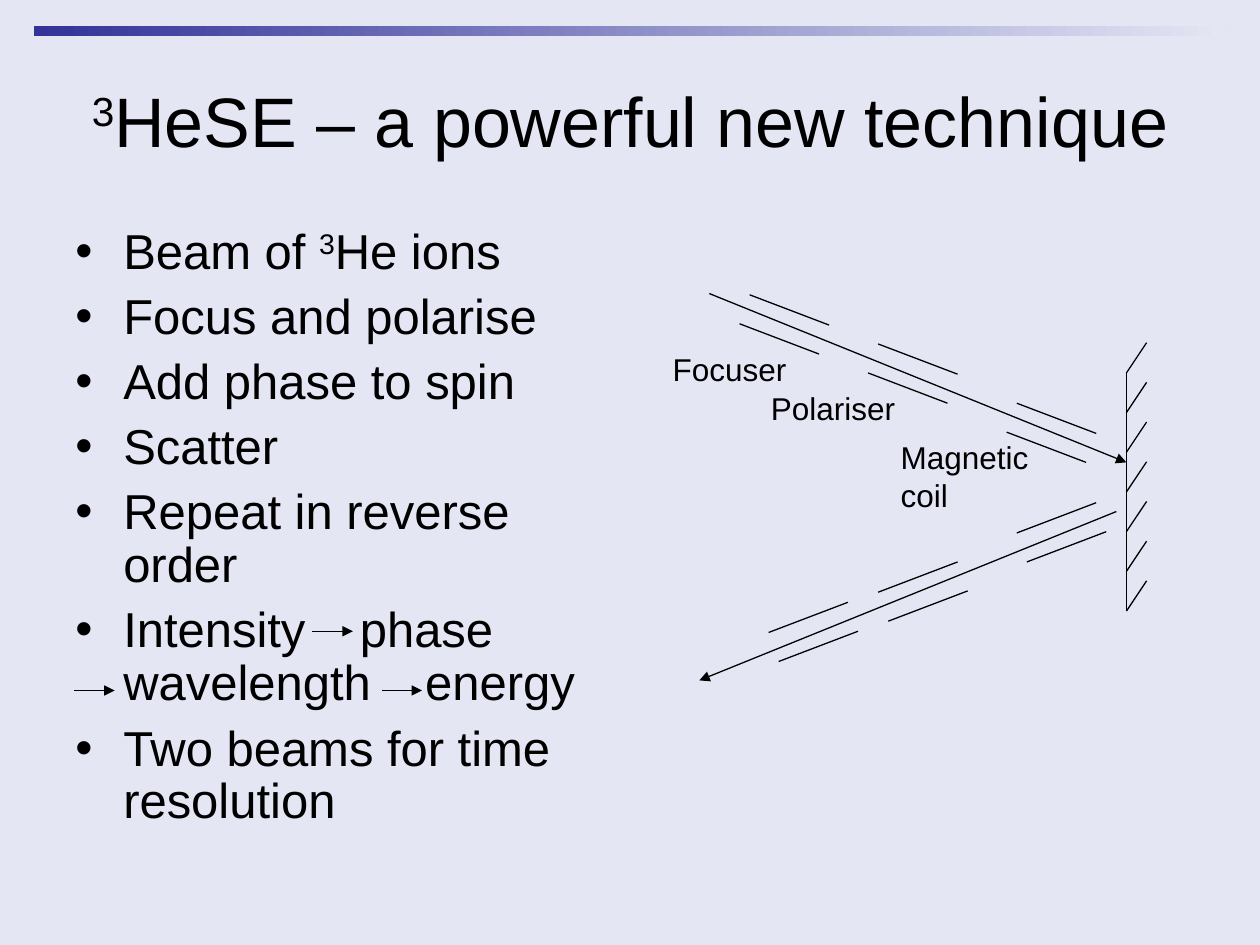
from dataclasses import dataclass

from lxml import etree
from pptx import Presentation
from pptx.dml.color import RGBColor
from pptx.enum.shapes import MSO_CONNECTOR, MSO_SHAPE
from pptx.enum.text import MSO_ANCHOR, MSO_AUTO_SIZE, PP_ALIGN
from pptx.oxml.ns import qn
from pptx.util import Inches, Pt

STRAIGHT = MSO_CONNECTOR.STRAIGHT
RECTANGLE = MSO_SHAPE.RECTANGLE
CENTER = PP_ALIGN.CENTER
MIDDLE, TOP = MSO_ANCHOR.MIDDLE, MSO_ANCHOR.TOP
FIT_SHAPE, NO_FIT = MSO_AUTO_SIZE.SHAPE_TO_FIT_TEXT, MSO_AUTO_SIZE.NONE


@dataclass(frozen=True)
class Theme:
    background: RGBColor = RGBColor(0xE4, 0xE6, 0xF4)
    accent: RGBColor = RGBColor(0x33, 0x33, 0x99)
    ink: RGBColor = RGBColor(0, 0, 0)
    font: str = "Arial"
    title: Pt = Pt(40)
    body: Pt = Pt(28)
    label: Pt = Pt(18)
    line: Pt = Pt(0.75)


theme = Theme()
SUPERSCRIPT = {"baseline": "30000"}
WIDE_GAP = {"spc": "2330"}  # one space as wide as an inline arrow

deck = Presentation()
deck.slide_width, deck.slide_height = Inches(10), Inches(7.5)
page = deck.slides.add_slide(deck.slide_layouts[6])
page.background.fill.solid()
page.background.fill.fore_color.rgb = theme.background


def add_text(bounds, paragraphs, size, paragraph_format, **frame_format):
    """Add a text box; each paragraph is a list of (text, run attributes)."""
    box = page.shapes.add_textbox(*map(Inches, bounds))
    frame = box.text_frame
    for name, value in {"word_wrap": True, **frame_format}.items():
        setattr(frame, name, value)
    for index, spans in enumerate(paragraphs):
        para = frame.add_paragraph() if index else frame.paragraphs[0]
        for name, value in paragraph_format.items():
            setattr(para, name, value)
        for text, attributes in spans:
            span = para.add_run()
            span.text = text
            span.font.name, span.font.size = theme.font, size
            span.font.color.rgb = theme.ink
            for name, value in attributes.items():
                span.font._element.set(name, value)
    return frame


def add_line(start, end, arrow=False):
    line = page.shapes.add_connector(STRAIGHT, *map(Inches, (*start, *end)))
    line.line.width = theme.line
    line.line.color.rgb = theme.ink
    if arrow:
        etree.SubElement(line.line._get_or_add_ln(), qn("a:tailEnd"), type="triangle")
    etree.SubElement(line._element.spPr, qn("a:effectLst"))


# Fading bar along the top
bar = page.shapes.add_shape(RECTANGLE, *map(Inches, (0.27, 0.21, 9.45, 0.08)))
bar.shadow.inherit = False
bar.line.fill.background()
bar.fill.gradient()
bar.fill.gradient_angle = 0
for stop, color in zip(bar.fill.gradient_stops, (theme.accent, theme.background)):
    stop.color.rgb = color

# Title and bullets
add_text((0.51, 0.36, 8.98, 1.17),
         [[("3", SUPERSCRIPT), ("HeSE – a powerful new technique", {})]],
         theme.title, {"alignment": CENTER},
         vertical_anchor=MIDDLE, auto_size=NO_FIT)

bullets = [
    [("Beam of ", {}), ("3", SUPERSCRIPT), ("He ions", {})],
    [("Focus and polarise", {})],
    [("Add phase to spin", {})],
    [("Scatter", {})],
    [("Repeat in reverse order", {})],
    [("Intensity", {}), (" ", WIDE_GAP), ("phase wavelength", {}),
     (" ", WIDE_GAP), ("energy", {})],
    [("Two beams for time resolution", {})],
]
body = add_text((0.5, 1.75, 4.19, 4.95), bullets, theme.body,
                {"line_spacing": 0.9, "space_before": Pt(7)},
                vertical_anchor=TOP, auto_size=NO_FIT)
for para in body.paragraphs:
    properties = para._p.get_or_add_pPr()
    properties.set("marL", str(Inches(0.38)))
    properties.set("indent", str(-Inches(0.38)))
    bullet_color = etree.SubElement(properties, qn("a:buClr"))
    etree.SubElement(bullet_color, qn("a:srgbClr"), val=str(theme.ink))
    etree.SubElement(properties, qn("a:buFont"), typeface=theme.font)
    etree.SubElement(properties, qn("a:buChar"), char="•")

# Scattering surface with its hatching
wall_x, wall_top, wall_bottom = 8.94, 2.96, 4.85
hatch_count = 7
hatch_gap = (wall_bottom - wall_top) / (hatch_count - 1)
add_line((wall_x, wall_top), (wall_x, wall_bottom))
for index in range(hatch_count):
    y = wall_top + index * hatch_gap
    add_line((wall_x, y), (wall_x + 0.16, y - 0.24))

# Incoming and scattered beams, each between three pairs of plates
beams = [
    ((5.63, 2.33), (8.94, 3.67), 1, [(5.87, 2.57), (6.89, 2.96), (7.99, 3.43)]),
    ((8.86, 4.06), (5.55, 5.4), -1, [(6.81, 5.01), (7.68, 4.69), (8.78, 4.22)]),
]
for start, end, direction, plates in beams:
    add_line(start, end, arrow=True)
    for lower_x, lower_y in plates:
        for x, y in ((lower_x, lower_y), (lower_x + direction * 0.08, lower_y - 0.23)):
            add_line((x, y), (x + direction * 0.63, y + 0.24))

labels = [("Focuser", 5.24, 2.73, 0.4), ("Polariser", 6.02, 3.04, 0.4),
          ("Magnetic coil", 7.05, 3.43, 0.7)]
for text, left, top, height in labels:
    add_text((left, top, 1.34, height), [[(text, {})]], theme.label,
             {"space_before": Pt(11.2)}, auto_size=FIT_SHAPE)

# Arrows inside the bullet on intensity
for x, y in ((2.48, 5.01), (0.59, 5.48), (3.03, 5.48)):
    add_line((x, y), (x + 0.32, y), arrow=True)

deck.save("out.pptx")
